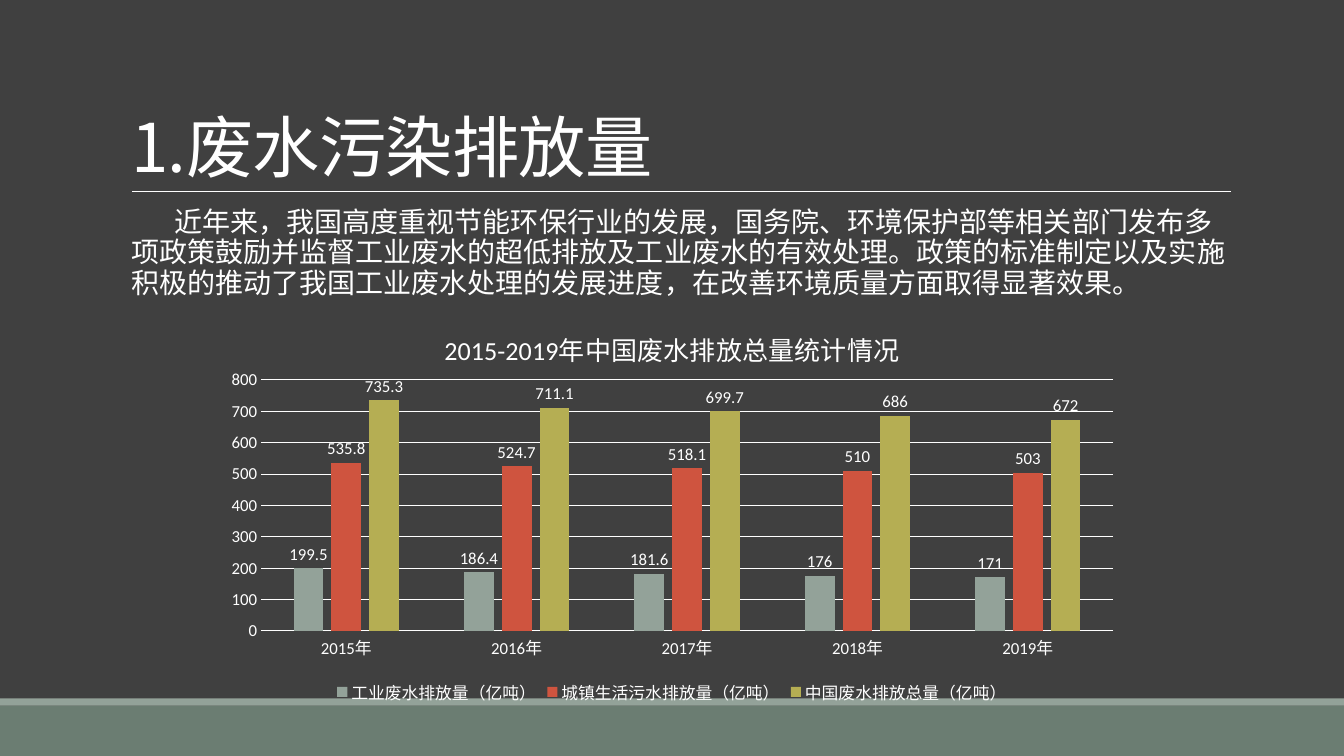
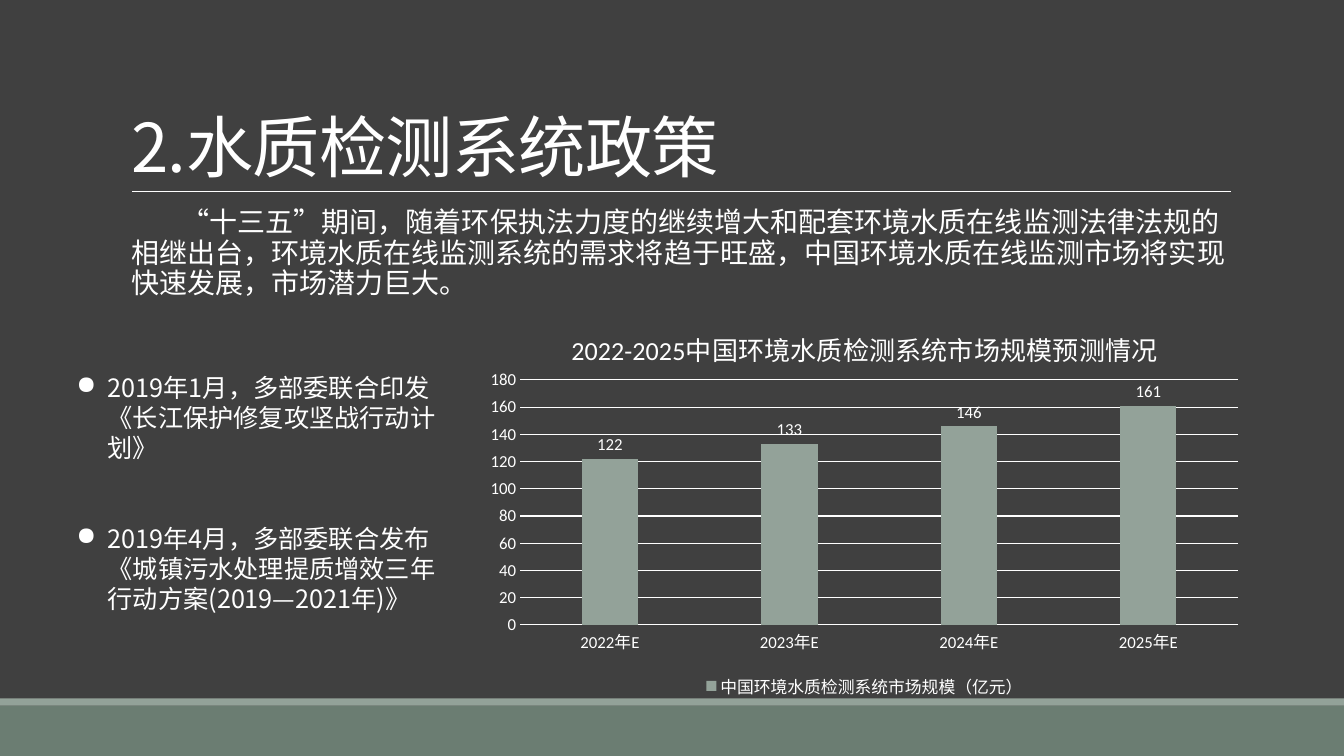
"""Build two slides on waste water and water-quality monitoring."""
from dataclasses import dataclass
from lxml.etree import SubElement
from pptx import Presentation
from pptx.chart.data import CategoryChartData as ChartData
from pptx.dml.color import RGBColor as RGB
from pptx.enum.chart import XL_CHART_TYPE as CT, XL_LABEL_POSITION as LP
from pptx.enum.chart import XL_LEGEND_POSITION as LEG, XL_TICK_MARK as TICK
from pptx.enum.shapes import MSO_CONNECTOR as CONN, MSO_SHAPE as SHAPE
from pptx.enum.text import MSO_ANCHOR as ANCHOR, MSO_AUTO_SIZE as FIT, PP_ALIGN as ALIGN
from pptx.oxml.ns import qn
from pptx.util import Pt

PX = 9144
WIDTH, HEIGHT = 1333, 750


@dataclass(frozen=True)
class Theme:
    back: RGB = RGB(0x40, 0x40, 0x40)
    band: RGB = RGB(0x6B, 0x7D, 0x72)
    text: RGB = RGB(0xFF, 0xFF, 0xFF)
    series: tuple = (RGB(0x93, 0xA2, 0x99), RGB(0xCF, 0x54, 0x3F), RGB(0xB5, 0xAE, 0x53))
    cjk: str = "Noto Sans CJK SC"
    latin: str = "Calibri"
    title: float = 48
    body: float = 20
    bullet: float = 18
    chart_title: float = 18.6
    label: float = 12


THEME = Theme()


def px(*lengths):
    return [n * PX for n in lengths]


def style(font, size, name=THEME.latin):
    font.size, font.name, font.bold = Pt(size), name, False
    font.color.rgb = THEME.text


def write(p, text, size, spacing=None, before=0, line=1.0, margin=0, indent=0, bullet=None):
    p.alignment, p.line_spacing, p.space_before = ALIGN.LEFT, line, Pt(before)
    props = p._p.get_or_add_pPr()
    props.set("marL", str(margin * PX))
    props.set("indent", str(indent * PX))
    if bullet:
        SubElement(props, qn("a:buChar"), char=bullet)
    else:
        SubElement(props, qn("a:buNone"))
    r = p.add_run()
    r.text = text
    style(r.font, size, THEME.cjk)
    run_props = r._r.get_or_add_rPr()
    SubElement(run_props, qn("a:ea"), typeface=THEME.cjk)
    if spacing is not None:
        run_props.set("spc", str(round(spacing * 100)))


def place(parent, index, frame, box, inner=False):
    for old in parent.findall(qn("c:layout")):
        parent.remove(old)
    layout = parent.makeelement(qn("c:layout"))
    parent.insert(index, layout)
    manual = SubElement(layout, qn("c:manualLayout"))
    if inner:
        SubElement(manual, qn("c:layoutTarget"), val="inner")
    for tag in ("xMode", "yMode"):
        SubElement(manual, qn(f"c:{tag}"), val="edge")
    left, top, width, height = frame
    parts = ((box[0] - left) / width, (box[1] - top) / height,
             *(n / whole for n, whole in zip(box[2:], (width, height))))
    for tag, part in zip("xywh", parts):
        SubElement(manual, qn(f"c:{tag}"), val=f"{part:.4f}")


class Deck:
    def __init__(self):
        self.prs = Presentation()
        self.prs.slide_width, self.prs.slide_height = px(WIDTH, HEIGHT)
        fill = self.prs.slide_master.background.fill
        fill.solid()
        fill.fore_color.rgb = THEME.back

    def slide(self, title, box):
        self.s = self.prs.slides.add_slide(self.prs.slide_layouts[5])
        self.band(700, 50, THEME.band)
        self.band(693, 7, THEME.series[0])
        self.rule(131, 1221, 190)
        sp = self.s.shapes.title
        sp.left, sp.top, sp.width, sp.height = px(*box)
        tf = sp.text_frame
        tf.word_wrap, tf.auto_size, tf.vertical_anchor = True, FIT.NONE, ANCHOR.BOTTOM
        write(tf.paragraphs[0], title, THEME.title, spacing=-0.5, line=0.85)

    def band(self, top, height, color):
        sp = self.s.shapes.add_shape(SHAPE.RECTANGLE, *px(0, top, WIDTH, height))
        sp.shadow.inherit = False
        sp.fill.solid()
        sp.fill.fore_color.rgb = color
        sp.line.fill.background()

    def rule(self, left, right, y):
        line = self.s.shapes.add_connector(CONN.STRAIGHT, *px(left, y, right, y))
        line.line.color.rgb, line.line.width = THEME.text, Pt(0.5)
        SubElement(line._element.spPr, qn("a:effectLst"))

    def frame(self, box, inset=10):
        tf = self.s.shapes.add_textbox(*px(*box)).text_frame
        tf.word_wrap = True
        tf.margin_left, tf.margin_right, tf.margin_top, tf.margin_bottom = px(inset, inset, 5, 5)
        return tf

    def body(self, text, height, indent):
        p = self.frame((120, 202, 1100, height), inset=0).paragraphs[0]
        write(p, text, THEME.body, line=0.9, margin=10, indent=indent)

    def bullets(self, items, box, gap):
        tf = self.frame(box)
        for i, item in enumerate(items):
            p = tf.add_paragraph() if i else tf.paragraphs[0]
            write(p, item, THEME.bullet, before=gap if i else 0,
                  margin=31, indent=-31, bullet="●")

    def chart(self, title, cats, series, box, plot_box, title_at, top, step):
        data = ChartData()
        data.categories = cats
        for name, values in series.items():
            data.add_series(name, values)
        chart = self.s.shapes.add_chart(CT.COLUMN_CLUSTERED, *px(*box), data).chart
        style(chart.font, THEME.label)
        chart.has_title = True
        p = chart.chart_title.text_frame.paragraphs[0]
        r = p.add_run()
        r.text = title
        style(r.font, THEME.chart_title)
        place(chart.element.find(".//" + qn("c:title")), 1, box, title_at)
        place(chart.element.find(".//" + qn("c:plotArea")), 0, box, plot_box, inner=True)
        chart.has_legend = True
        chart.legend.position, chart.legend.include_in_layout = LEG.BOTTOM, False
        style(chart.legend.font, THEME.label)
        cat, val = chart.category_axis, chart.value_axis
        for axis in (cat, val):
            axis.major_tick_mark = axis.minor_tick_mark = TICK.NONE
            style(axis.tick_labels.font, THEME.label)
        val.minimum_scale, val.maximum_scale, val.major_unit = 0, top, step
        val.format.line.fill.background()
        for line in (cat.format.line, val.major_gridlines.format.line):
            line.color.rgb, line.width = THEME.text, Pt(0.75)
        plot = chart.plots[0]
        plot.gap_width, plot.overlap, plot.vary_by_categories = 219, -27, False
        for ser, color in zip(plot.series, THEME.series):
            ser.format.fill.solid()
            ser.format.fill.fore_color.rgb = color
            labels = ser.data_labels
            labels.show_value, labels.position = True, LP.OUTSIDE_END
            style(labels.font, THEME.label)


def main():
    deck = Deck()
    deck.slide("1.废水污染排放量", (120, 90, 564, 100))
    deck.body("近年来，我国高度重视节能环保行业的发展，国务院、环境保护部等相关部门发布多项政策"
              "鼓励并监督工业废水的超低排放及工业废水的有效处理。政策的标准制定以及实施积极的推动了"
              "我国工业废水处理的发展进度，在改善环境质量方面取得显著效果。", 113, 43)
    deck.chart("2015-2019年中国废水排放总量统计情况",
               [f"{year}年" for year in range(2015, 2020)],
               {"工业废水排放量（亿吨）": (199.5, 186.4, 181.6, 176, 171),
                "城镇生活污水排放量（亿吨）": (535.8, 524.7, 518.1, 510, 503),
                "中国废水排放总量（亿吨）": (735.3, 711.1, 699.7, 686, 672)},
               box=(211, 298, 911, 405), plot_box=(259, 377, 845, 249),
               title_at=(436, 320), top=800, step=100)

    deck.slide("2.水质检测系统政策", (120, 99, 607, 91))
    deck.body("“十三五”期间，随着环保执法力度的继续增大和配套环境水质在线监测法律法规的相继出台，"
              "环境水质在线监测系统的需求将趋于旺盛，中国环境水质在线监测市场将实现快速发展，"
              "市场潜力巨大。", 101, 50)
    deck.chart("2022-2025中国环境水质检测系统市场规模预测情况",
               [f"{year}年E" for year in range(2022, 2026)],
               {"中国环境水质检测系统市场规模（亿元）": (122, 133, 146, 161)},
               box=(471, 299, 773, 398), plot_box=(516, 377, 712, 243),
               title_at=(562, 320), top=180, step=20)
    deck.bullets(["2019年1月，多部委联合印发《长江保护修复攻坚战行动计划》",
                  "2019年4月，多部委联合发布《城镇污水处理提质增效三年行动方案(2019—2021年)》"],
                 (66, 364, 385, 252), gap=43)
    deck.prs.save("out.pptx")


if __name__ == "__main__":
    main()
